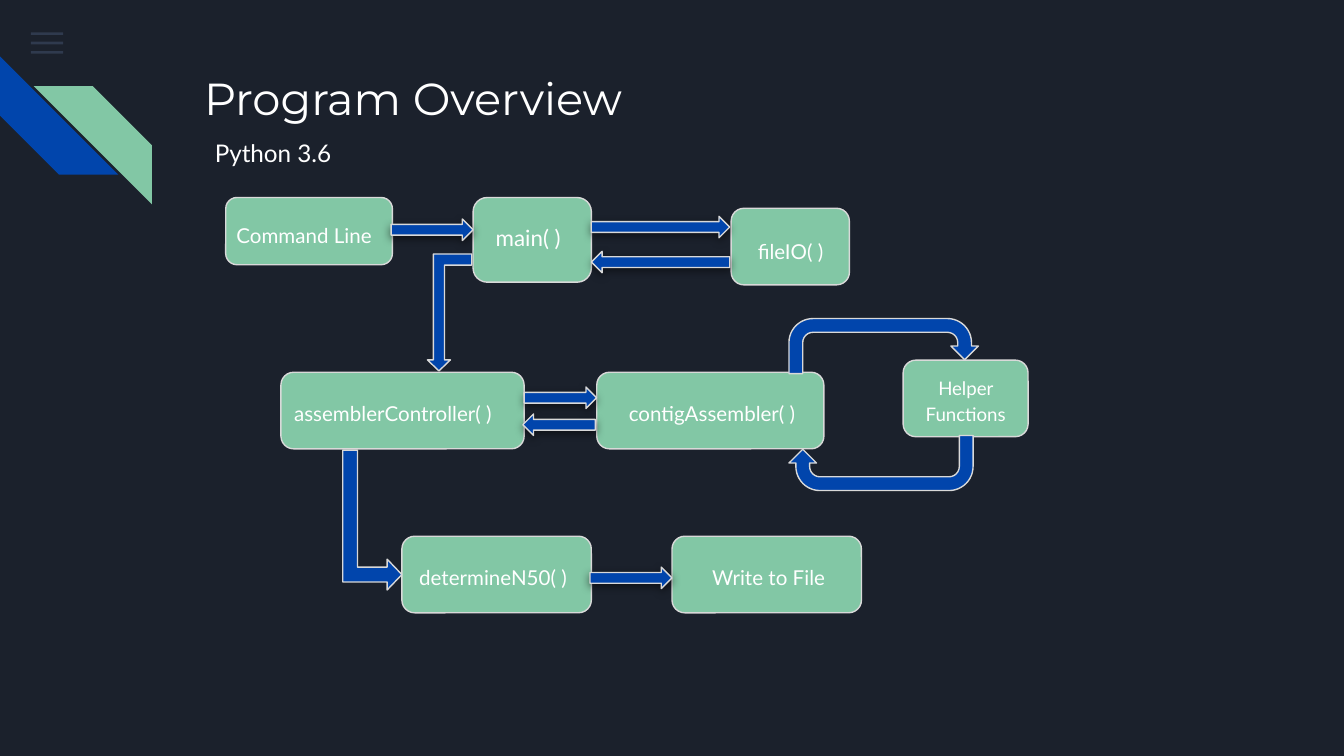
"""Builds the Program Overview slide, a flow chart of function calls."""
from lxml.etree import SubElement
from pptx import Presentation
from pptx.dml.color import RGBColor
from pptx.enum.shapes import MSO_SHAPE as SHAPE
from pptx.enum.text import MSO_ANCHOR as ANCHOR, PP_ALIGN as ALIGN
from pptx.oxml.ns import qn
from pptx.util import Inches, Pt

COLORS = {
    "background": "1B212C",
    "menu": "55688B",
    "arrow": "0145AC",
    "box": "82C7A5",
    "outline": "D9D9D9",
    "text": "FFFFFF",
    "shadow": "000000",
}
SLIDE_SIZE = {"slide_width": Inches(10), "slide_height": Inches(10 * 9 / 16)}
BODY = {"line_spacing": 1.15, "space_after": Pt(16)}
CENTERED = {**BODY, "alignment": ALIGN.CENTER}
FRAME = {"word_wrap": True, "vertical_anchor": ANCHOR.TOP}
MARGINS = {f"margin_{side}": Inches(0.1) for side in ("left", "top", "right", "bottom")}

STEPS = [
    ("main( )", (3.52, 1.47, 0.88, 0.63), (3.59, 1.54, 0.74, 0.39), 12, BODY),
    ("fileIO( )", (5.44, 1.55, 0.88, 0.57), (5.54, 1.65, 0.78, 0.5), 11, BODY),
    ("assemblerController( )", (2.09, 2.77, 1.81, 0.57), (2.09, 2.86, 1.76, 0.39), 11, BODY),
    ("determineN50( )", (2.99, 3.99, 1.41, 0.57), (3.02, 4.08, 1.35, 0.39), 11, BODY),
    ("Helper Functions", (6.72, 2.68, 0.93, 0.57), (6.67, 2.68, 1.03, 0.34), 10, CENTERED),
    ("contigAssembler( )", (4.44, 2.77, 1.69, 0.57), (4.58, 2.86, 1.62, 0.39), 11, BODY),
    ("Write to File", (5, 3.99, 1.41, 0.57), (5.2, 4.08, 1.35, 0.39), 11, BODY),
    ("Command Line", (1.68, 1.47, 1.24, 0.5), (1.66, 1.53, 1.35, 0.39), 11, BODY),
]
STRAIGHT_ARROWS = [
    (2.91, 1.63, 0.61, 0),
    (4.4, 1.61, 1.03, 0),
    (4.4, 1.87, 1.03, 180),
    (3.9, 2.88, 0.54, 0),
    (3.89, 3.08, 0.54, 180),
    (4.39, 4.22, 0.61, 0),
]
BENT_ARROWS = [((3.18, 1.89, 0.33, 0.87), 180), ((2.25, 3.65, 1.04, 0.44), 90)]
UTURN_ARROWS = [((5.87, 2.37, 1.41, 0.41), 0), ((5.87, 3.24, 1.37, 0.41), 180)]


def color(name):
    """Return the named colour."""
    return RGBColor.from_string(COLORS[name])


def apply(target, values):
    """Set each attribute in values on target."""
    for name, value in values.items():
        setattr(target, name, value)


def add_shape(slide, kind, place, fill, rotation=0, outlined=True):
    """Add a filled preset shape without a shadow."""
    shape = slide.shapes.add_shape(kind, *map(Inches, place))
    shape.shadow.inherit = False
    shape.rotation = rotation
    shape.fill.solid()
    shape.fill.fore_color.rgb = color(fill)
    if outlined:
        shape.line.color.rgb = color("outline")
        shape.line.width = Pt(0.75)
    else:
        shape.line.fill.background()
    return shape


def add_alpha(color_element, percent):
    """Make a colour element partly transparent."""
    SubElement(color_element, qn("a:alpha"), val=str(percent * 1000))


def add_drop_shadow(shape):
    """Give a shape a soft shadow below it."""
    effects = shape.element.spPr.find(qn("a:effectLst"))
    shadow = SubElement(effects, qn("a:outerShdw"), blurRad=str(Pt(4.5)),
                        dist=str(Pt(1.5)), dir="5400000", rotWithShape="0")
    add_alpha(SubElement(shadow, qn("a:srgbClr"), val=COLORS["shadow"]), 50)


def add_text(slide, words, place, size, font="Lato", paragraph_format=BODY):
    """Add a text box holding one paragraph."""
    frame = slide.shapes.add_textbox(*map(Inches, place)).text_frame
    apply(frame, {**FRAME, **MARGINS})
    paragraph = frame.paragraphs[0]
    apply(paragraph, paragraph_format)
    run = paragraph.add_run()
    run.text = words
    apply(run.font, {"name": font, "size": Pt(size)})
    run.font.color.rgb = color("text")


def add_decoration(slide):
    """Draw the menu bars and the two corner stripes."""
    for row in range(3):
        bar = add_shape(slide, SHAPE.RECTANGLE, (0.23, 0.24 + row * 0.07, 0.24, 0.02),
                        "menu", outlined=False)
        add_alpha(bar.element.spPr.find(qn("a:solidFill"))[0], 36)
    for left, top, fill, rotation in ((0, 0.42, "arrow", 270), (0.25, 0.64, "box", 90)):
        add_shape(slide, SHAPE.DIAGONAL_STRIPE, (left, top, 0.88, 0.88), fill,
                  rotation, outlined=False)


def add_step(slide, words, box, label, size, paragraph_format):
    """Add a rounded box and its label."""
    add_shape(slide, SHAPE.ROUNDED_RECTANGLE, box, "box")
    add_text(slide, words, label, size, paragraph_format=paragraph_format)


def add_arrows(slide):
    """Draw the straight, bent and U-turn arrows between the steps."""
    for left, top, width, rotation in STRAIGHT_ARROWS:
        arrow = add_shape(slide, SHAPE.RIGHT_ARROW, (left, top, width, 0.16), "arrow", rotation)
        add_drop_shadow(arrow)
    for place, rotation in BENT_ARROWS:
        arrow = add_shape(slide, SHAPE.BENT_UP_ARROW, place, "arrow", rotation)
        arrow.adjustments[1] = 0.26
    for place, rotation in UTURN_ARROWS:
        add_shape(slide, SHAPE.U_TURN_ARROW, place, "arrow", rotation)


def main():
    """Build and save the slide."""
    deck = Presentation()
    apply(deck, SLIDE_SIZE)
    slide = deck.slides.add_slide(deck.slide_layouts[6])
    slide.background.fill.solid()
    slide.background.fill.fore_color.rgb = color("background")
    add_decoration(slide)
    add_text(slide, "Program Overview", (1.42, 0.43, 7.7, 1), 24, "Montserrat", {})
    for step in STEPS:
        add_step(slide, *step)
    add_arrows(slide)
    add_text(slide, "Python 3.6", (1.5, 0.9, 7.7, 0.4), 13)
    deck.save("out.pptx")


if __name__ == "__main__":
    main()
